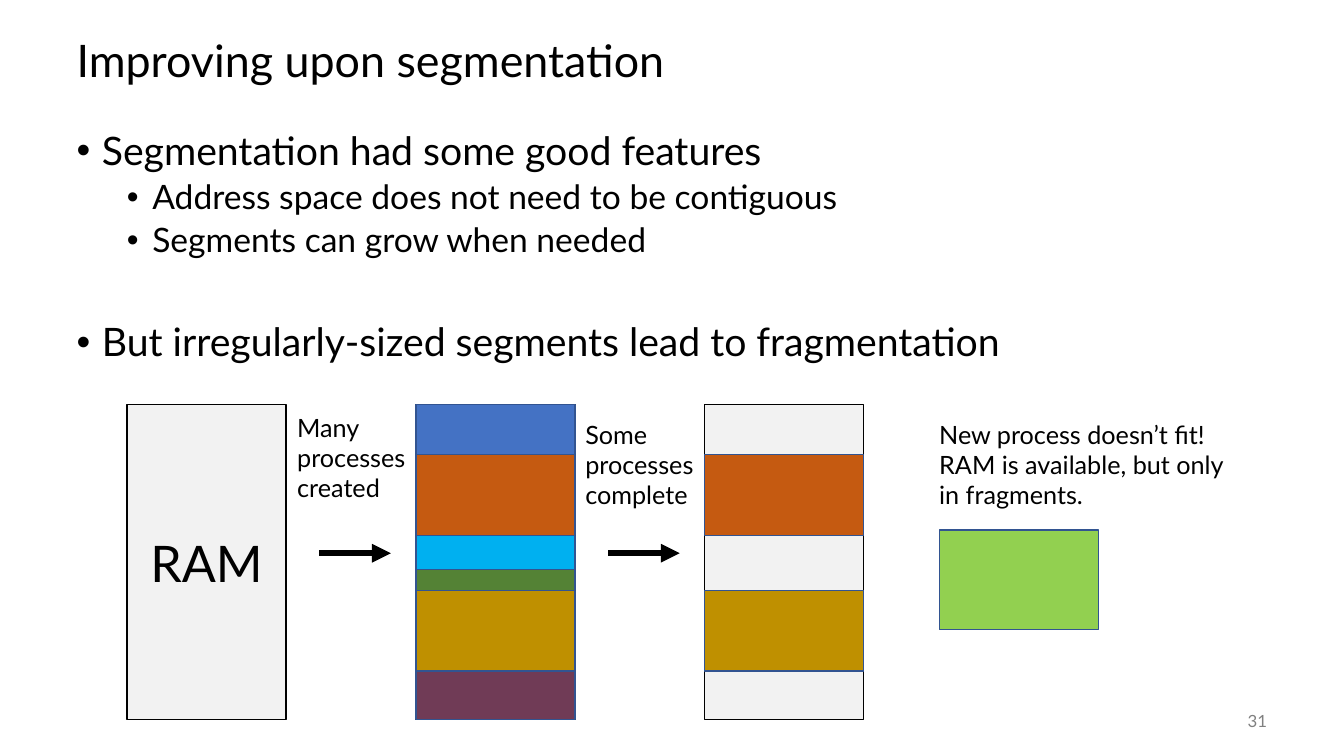
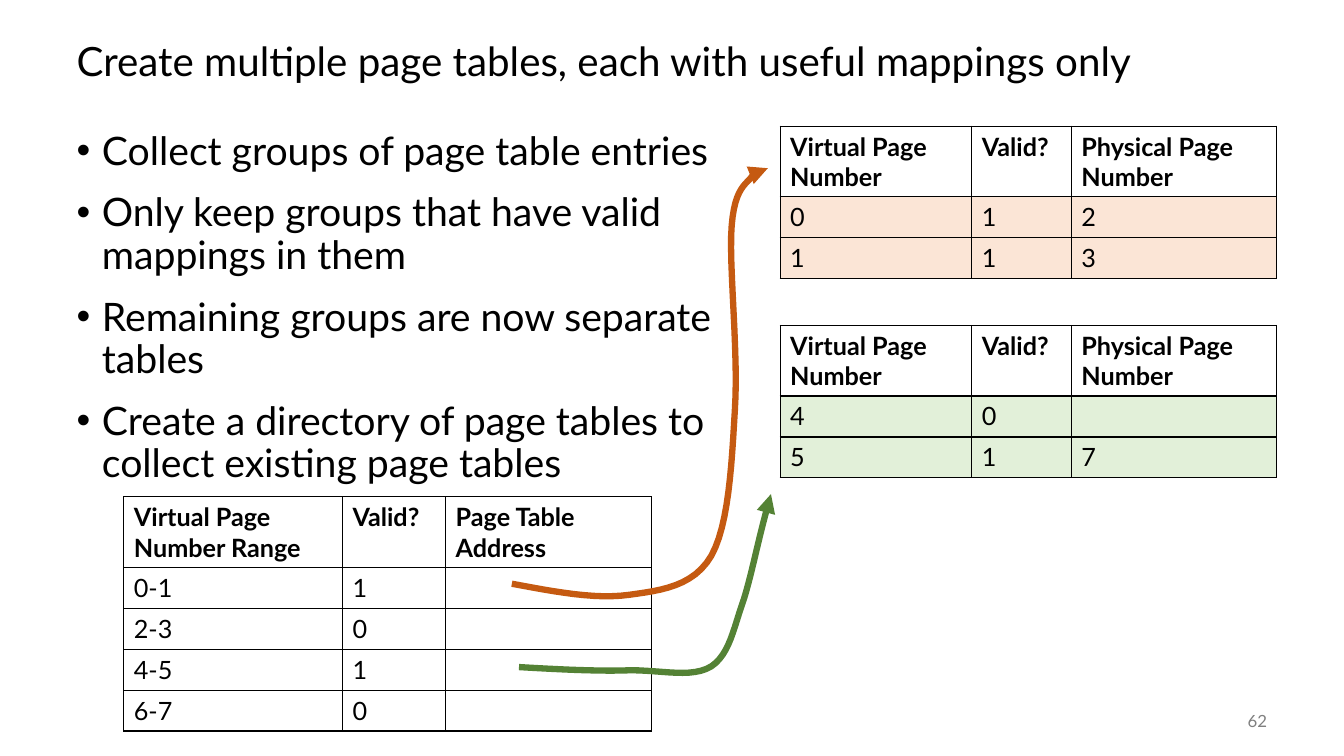
"""Build two slides on memory segmentation and page tables."""
from lxml import etree
from pptx import Presentation
from pptx.dml.color import RGBColor
from pptx.enum.shapes import MSO_CONNECTOR, MSO_SHAPE
from pptx.enum.text import MSO_ANCHOR, PP_ALIGN
from pptx.oxml.ns import qn
from pptx.util import Cm, Pt

RECTANGLE = MSO_SHAPE.RECTANGLE
STRAIGHT = MSO_CONNECTOR.STRAIGHT
TOP, MIDDLE = MSO_ANCHOR.TOP, MSO_ANCHOR.MIDDLE
LEFT, CENTER, RIGHT = PP_ALIGN.LEFT, PP_ALIGN.CENTER, PP_ALIGN.RIGHT

FONT = "Lato"
BLACK = RGBColor(0x00, 0x00, 0x00)
WHITE = RGBColor(0xFF, 0xFF, 0xFF)
GRAY = RGBColor(0x80, 0x80, 0x80)
FREE_GRAY = RGBColor(0xF2, 0xF2, 0xF2)
OUTLINE_BLUE = RGBColor(0x32, 0x54, 0x91)
BLUE = RGBColor(0x44, 0x72, 0xC4)
ORANGE = RGBColor(0xC5, 0x5A, 0x11)
SKY = RGBColor(0x00, 0xB0, 0xF0)
GREEN = RGBColor(0x54, 0x82, 0x35)
GOLD = RGBColor(0xBF, 0x90, 0x00)
PLUM = RGBColor(0x70, 0x3B, 0x56)
LIME = RGBColor(0x92, 0xD0, 0x50)
PALE_ORANGE = RGBColor(0xFB, 0xE5, 0xD6)
PALE_GREEN = RGBColor(0xE2, 0xF0, 0xD9)

TITLE_FORMAT = {"line_spacing": 0.9}
BULLET_LEVELS = [
    {"size": 28, "margin": Cm(0.64), "before": 14},
    {"size": 24, "margin": Cm(1.91), "before": 5},
]
SLIDES = [
    {
        "title": "Improving upon segmentation", "size": 32, "number": "31", "width": 30.48,
        "bullets": [
            ("Segmentation had some good features", 0, 0),
            ("Address space does not need to be contiguous", 1, None),
            ("Segments can grow when needed", 1, None),
            ("But irregularly-sized segments lead to fragmentation", 0, 45),
        ],
    },
    {
        "title": "Create multiple page tables, each with useful mappings only",
        "size": 28.8, "number": "62", "width": 17.6,
        "bullets": [
            ("Collect groups of page table entries", 0, 0),
            ("Only keep groups that have valid mappings in them", 0, None),
            ("Remaining groups are now separate tables", 0, None),
            ("Create a directory of page tables to collect existing page tables", 0, None),
        ],
    },
]


def write_text(frame, lines, size, color=BLACK, bold=False, anchor=TOP, **formats):
    """Fill a text frame with one paragraph per line and return the paragraphs."""
    frame.word_wrap = True
    frame.vertical_anchor = anchor
    paragraphs = []
    for index, line in enumerate(lines):
        para = frame.add_paragraph() if index else frame.paragraphs[0]
        for name, value in formats.items():
            setattr(para, name, value)
        span = para.add_run()
        span.text = line
        for name, value in {"name": FONT, "size": Pt(size), "bold": bold}.items():
            setattr(span.font, name, value)
        span.font.color.rgb = color
        paragraphs.append(para)
    return paragraphs


def style_arrow(arrow, color):
    """Give a line a thick stroke that ends in a triangle, without a shadow."""
    arrow.line.color.rgb = color
    arrow.line.width = Pt(4.5)
    etree.SubElement(arrow.line._get_or_add_ln(), qn("a:tailEnd"), type="triangle")
    etree.SubElement(arrow._element.spPr, qn("a:effectLst"))


deck = Presentation()
deck.slide_width, deck.slide_height = Cm(33.87), Cm(19.05)
pages = []
for content in SLIDES:
    page = deck.slides.add_slide(deck.slide_layouts[6])
    pages.append(page)

    box = page.shapes.add_textbox(Cm(1.68), Cm(0.64), Cm(30.48), Cm(1.9))
    write_text(box.text_frame, [content["title"]], content["size"], anchor=MIDDLE, **TITLE_FORMAT)

    box = page.shapes.add_textbox(Cm(1.68), Cm(3.18), Cm(content["width"]), Cm(13.97))
    lines = [text for text, _, _ in content["bullets"]]
    paragraphs = write_text(box.text_frame, lines, 28, line_spacing=0.9)
    for para, (_, level, before) in zip(paragraphs, content["bullets"]):
        style = BULLET_LEVELS[level]
        para.level = level
        para.space_before = Pt(style["before"] if before is None else before)
        para.runs[0].font.size = Pt(style["size"])
        properties = para._p.get_or_add_pPr()
        properties.set("marL", str(style["margin"]))
        properties.set("indent", str(-Cm(0.64)))
        etree.SubElement(properties, qn("a:buFont"), typeface="Arial")
        etree.SubElement(properties, qn("a:buChar"), char="•")

    box = page.shapes.add_textbox(Cm(29.64), Cm(17.65), Cm(2.54), Cm(1.02))
    write_text(box.text_frame, [content["number"]], 12, GRAY, anchor=MIDDLE, alignment=RIGHT)

segmentation, page_tables = pages

RAM_LEFT, RAM_TOP, RAM_WIDTH, RAM_HEIGHT, RAM_STEP = 3.2, 10.19, 4.01, 7.94, 7.28
SEGMENTS = [
    (1.27, BLUE, False), (2.03, ORANGE, True), (0.86, SKY, False),
    (0.53, GREEN, False), (2.03, GOLD, True), (1.22, PLUM, False),
]
ram_lefts = [RAM_LEFT + RAM_STEP * index for index in range(3)]
blocks = [(left, RAM_TOP, RAM_HEIGHT, FREE_GRAY, BLACK, "") for left in ram_lefts]
blocks[0] = (*blocks[0][:5], "RAM")
top = RAM_TOP
for height, color, remains in SEGMENTS:
    for left in ram_lefts[1:] if remains else ram_lefts[1:2]:
        blocks.append((left, top, height, color, OUTLINE_BLUE, ""))
    top += height
blocks.append((23.67, 13.36, 2.51, LIME, OUTLINE_BLUE, ""))

for left, top, height, color, outline, label in blocks:
    block = segmentation.shapes.add_shape(RECTANGLE, Cm(left), Cm(top), Cm(RAM_WIDTH), Cm(height))
    block.shadow.inherit = False
    block.fill.solid()
    block.fill.fore_color.rgb = color
    block.line.color.rgb = outline
    block.line.width = Pt(1)
    if label:
        write_text(block.text_frame, [label], 36, anchor=MIDDLE, alignment=CENTER)

for index in range(2):
    left = 8.05 + RAM_STEP * index
    arrow = segmentation.shapes.add_connector(
        STRAIGHT, Cm(left), Cm(13.94), Cm(left + 1.8), Cm(13.94))
    style_arrow(arrow, BLACK)

for left, top, width, lines in [
    (7.24, 10.26, 3.63, ["Many processes created"]),
    (14.5, 10.44, 4.01, ["Some processes complete"]),
    (23.42, 10.44, 8, ["New process doesn’t fit!", "RAM is available, but only in fragments."]),
]:
    box = segmentation.shapes.add_textbox(Cm(left), Cm(top), Cm(width), Cm(2.57))
    write_text(box.text_frame, lines, 18)

HEADER_HEIGHT, ROW_HEIGHT = 1.78, 1.03
PAGE_WIDTHS = [4.83, 2.51, 5.18]
PAGE_HEADER = ["Virtual Page Number", "Valid?", "Physical Page Number"]
TABLES = [
    (3.12, 12.52, [5.51, 2.6, 5.18], WHITE, [
        ["Virtual Page Number Range", "Valid?", "Page Table Address"],
        ["0-1", "1", ""], ["2-3", "0", ""], ["4-5", "1", ""], ["6-7", "0", ""]]),
    (19.66, 3.18, PAGE_WIDTHS, PALE_ORANGE, [PAGE_HEADER, ["0", "1", "2"], ["1", "1", "3"]]),
    (19.66, 8.2, PAGE_WIDTHS, PALE_GREEN, [PAGE_HEADER, ["4", "0", ""], ["5", "1", "7"]]),
]
for left, top, widths, color, rows in TABLES:
    height = HEADER_HEIGHT + ROW_HEIGHT * (len(rows) - 1)
    table = page_tables.shapes.add_table(
        len(rows), len(widths), Cm(left), Cm(top), Cm(sum(widths)), Cm(height)).table
    table.first_row = table.horz_banding = False
    for column, width in zip(table.columns, widths):
        column.width = Cm(width)
    for row_index, texts in enumerate(rows):
        is_header = row_index == 0
        table.rows[row_index].height = Cm(HEADER_HEIGHT if is_header else ROW_HEIGHT)
        for column_index, text in enumerate(texts):
            cell = table.cell(row_index, column_index)
            properties = cell._tc.get_or_add_tcPr()
            for side in ("a:lnL", "a:lnR", "a:lnT", "a:lnB"):
                border = etree.SubElement(properties, qn(side), w=str(Pt(1)))
                paint = etree.SubElement(border, qn("a:solidFill"))
                etree.SubElement(paint, qn("a:srgbClr"), val=str(BLACK))
            if is_header:
                cell.fill.background()
            else:
                cell.fill.solid()
                cell.fill.fore_color.rgb = color
            if text:
                write_text(cell.text_frame, [text], 18, bold=is_header, alignment=LEFT)

CURVE_STEPS = 12
POINTERS = [
    (ORANGE, [
        (12.9, 14.71), (13.97, 14.91), (15.01, 15.11), (15.85, 14.99),
        (16.66, 14.88), (17.48, 14.78), (17.93, 14), (18.36, 13.23), (18.44, 11.73),
        (18.52, 10.34), (18.62, 8.94), (18.36, 6.65), (18.44, 5.69),
        (18.52, 4.7), (18.82, 4.65), (18.97, 4.42), (19.13, 4.17), (18.92, 4.19), (19.35, 4.24)]),
    (GREEN, [
        (13.08, 16.81), (14.1, 16.87), (15.11, 16.92), (15.9, 16.89),
        (16.71, 16.89), (17.45, 17.09), (17.93, 16.79), (18.39, 16.48), (18.49, 15.82),
        (18.75, 15.09), (18.97, 14.38), (19.1, 13.61), (19.43, 12.45)]),
]
for color, controls in POINTERS:
    points = []
    for start in range(0, len(controls) - 1, 3):
        for step in range(1, CURVE_STEPS + 1):
            t = step / CURVE_STEPS
            weights = [(1 - t) ** 3, 3 * t * (1 - t) ** 2, 3 * t ** 2 * (1 - t), t ** 3]
            curve = controls[start:start + 4]
            points.append(tuple(
                Cm(sum(weight * point[axis] for weight, point in zip(weights, curve)))
                for axis in range(2)))
    builder = page_tables.shapes.build_freeform(Cm(controls[0][0]), Cm(controls[0][1]))
    builder.add_line_segments(points, close=False)
    pointer = builder.convert_to_shape()
    pointer.fill.background()
    style_arrow(pointer, color)

deck.save("out.pptx")
